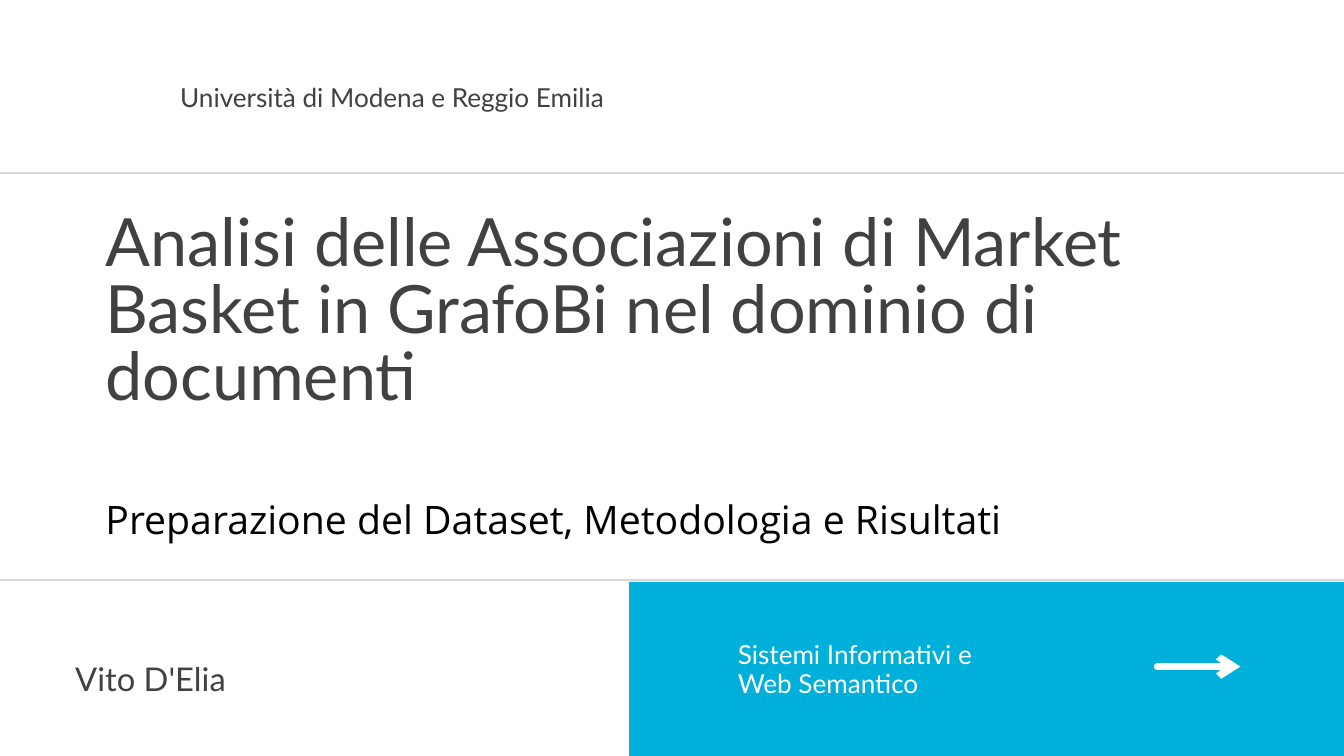
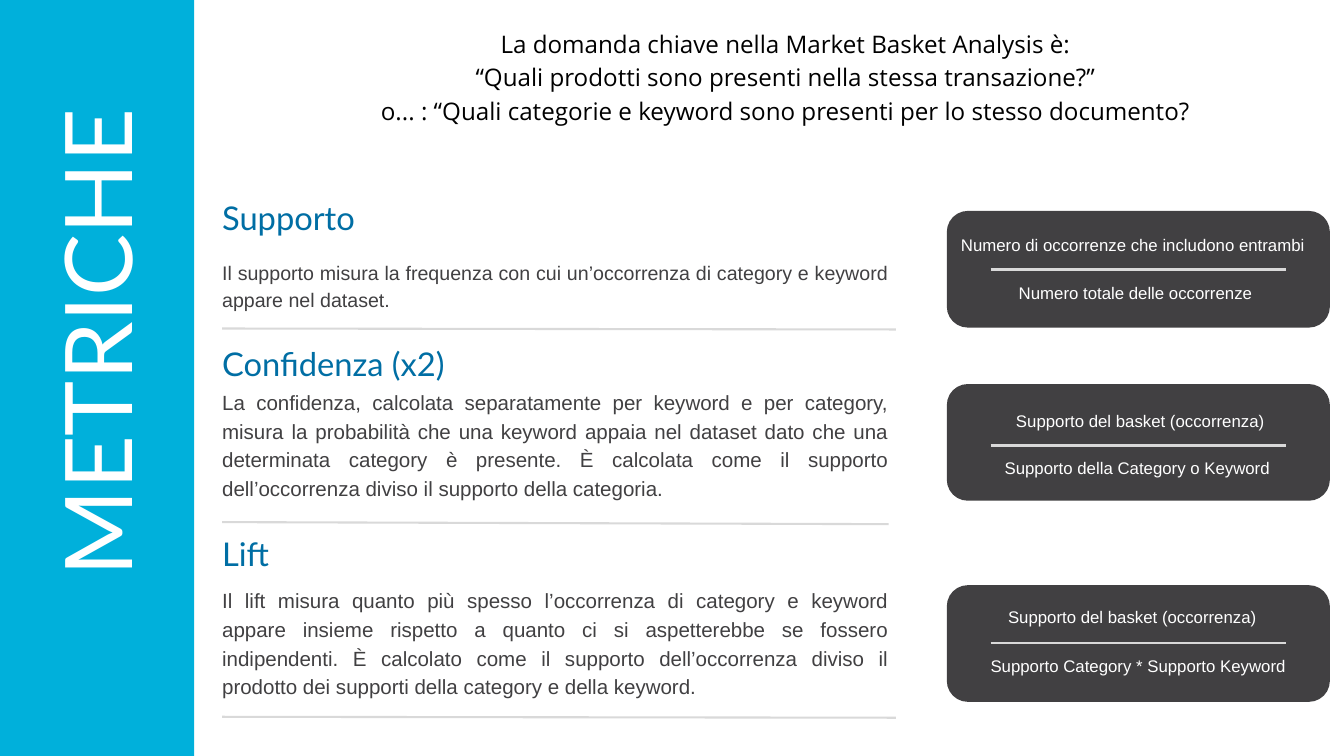
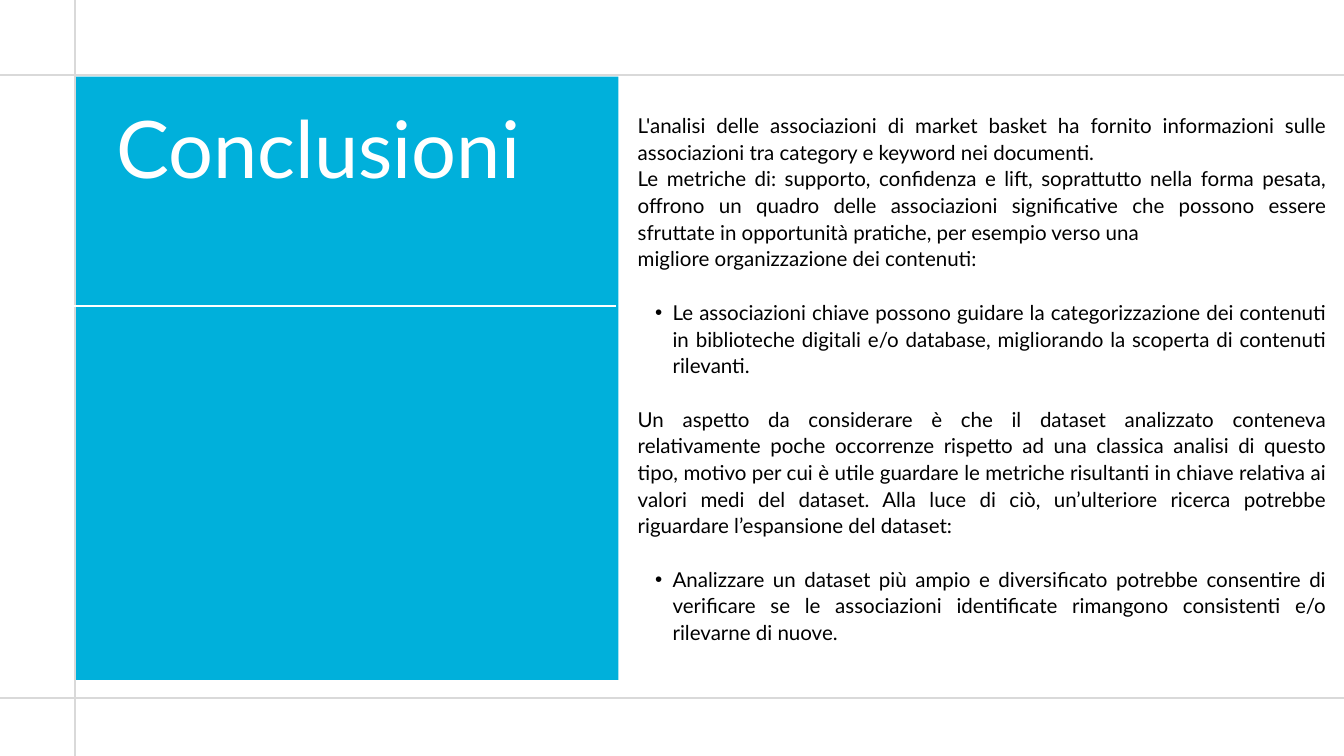
from lxml.etree import SubElement
from pptx import Presentation
from pptx.dml.color import RGBColor
from pptx.enum.shapes import MSO_CONNECTOR, MSO_SHAPE
from pptx.enum.text import MSO_AUTO_SIZE, PP_ALIGN
from pptx.oxml.ns import qn
from pptx.util import Pt

COLORS = {
    "cyan": "00B0DB",
    "blue": "006EA4",
    "charcoal": "414042",
    "grey": "D9D9D9",
    "white": "FFFFFF",
    "black": "000000",
}

LEFT, CENTER, JUSTIFY = PP_ALIGN.LEFT, PP_ALIGN.CENTER, PP_ALIGN.JUSTIFY

# style: font, size, line spacing, colour, alignment
STYLES = {
    "cover title": ("Lato", 71.3, 71.3, "charcoal", LEFT),
    "subtitle": ("Open Sans", 42, 58.8, "black", LEFT),
    "author": ("Lato", 35, 38.5, "charcoal", LEFT),
    "university": ("Lato", 28, 30.8, "charcoal", LEFT),
    "course": ("Lato", 28, 30.8, "white", LEFT),
    "side title": ("Lato", 100, 110, "white", CENTER),
    "question": ("Open Sans", 25.9, 36.2, "black", CENTER),
    "metric": ("Lato", 35, 45.5, "blue", LEFT),
    "short definition": ("Arial", 21, 29.4, "charcoal", JUSTIFY),
    "definition": ("Arial", 22, 30.8, "charcoal", JUSTIFY),
    "formula": ("Arial", 18, 25.2, "white", LEFT),
    "closing title": ("Lato", 85, 93.5, "white", LEFT),
    "closing text": ("Lato", 22, 28.6, "black", JUSTIFY),
}

WIDTH, HEIGHT = 1440, 810


def add_text(slide, style, box, *lines):
    """Add a text box at (left, top, width, height), one paragraph a line."""
    font_name, size, spacing, color, alignment = STYLES[style]
    text_box = slide.shapes.add_textbox(*map(Pt, box))
    frame = text_box.text_frame
    frame_format = {
        "word_wrap": True,
        "auto_size": MSO_AUTO_SIZE.SHAPE_TO_FIT_TEXT,
        "margin_left": 0, "margin_right": 0, "margin_top": 0, "margin_bottom": 0,
    }
    for name, value in frame_format.items():
        setattr(frame, name, value)
    for number, line in enumerate(lines):
        paragraph = frame.add_paragraph() if number else frame.paragraphs[0]
        run = paragraph.add_run()
        run.text = line
        run.font.color.rgb = RGBColor.from_string(COLORS[color])
        for name, value in {"name": font_name, "size": Pt(size)}.items():
            setattr(run.font, name, value)
        for name, value in {"line_spacing": Pt(spacing), "alignment": alignment}.items():
            setattr(paragraph, name, value)
    return text_box


def add_rule(slide, start, end, color="grey", weight=2.25):
    rule = slide.shapes.add_connector(MSO_CONNECTOR.STRAIGHT, *map(Pt, start + end))
    rule.line.color.rgb = RGBColor.from_string(COLORS[color])
    rule.line.width = Pt(weight)
    SubElement(rule._element.spPr, qn("a:effectLst"))
    return rule


prs = Presentation()
prs.slide_width, prs.slide_height = Pt(WIDTH), Pt(HEIGHT)
cover, metrics, closing = [prs.slides.add_slide(prs.slide_layouts[6]) for _ in range(3)]

# Coloured panels behind the text
CARD_LEFT, CARD_WIDTH, CARD_HEIGHT = 1014.5, 410.4, 125
CARD_TOPS = (226, 411.5, 627)
panels = [
    (cover, MSO_SHAPE.RECTANGLE, "cyan", (674, 623.5, 766, 186.5)),
    (metrics, MSO_SHAPE.RECTANGLE, "cyan", (0, 0, 208, HEIGHT)),
    (closing, MSO_SHAPE.RECTANGLE, "cyan", (80.6, 82, 582, 646.5)),
]
for top in CARD_TOPS:
    panels.append((metrics, MSO_SHAPE.ROUNDED_RECTANGLE, "charcoal",
                   (CARD_LEFT, top, CARD_WIDTH, CARD_HEIGHT)))
for slide, outline, color, box in panels:
    panel = slide.shapes.add_shape(outline, *map(Pt, box))
    panel.shadow.inherit = False
    panel.fill.solid()
    panel.fill.fore_color.rgb = RGBColor.from_string(COLORS[color])
    panel.line.fill.background()
    if outline == MSO_SHAPE.ROUNDED_RECTANGLE:
        panel.adjustments[0] = 0.18

# Full-width rules
for slide, y in ((cover, 185), (cover, 621.4), (closing, 80.6), (closing, 747.4)):
    add_rule(slide, (0, y), (WIDTH, y))

# Cover
add_text(cover, "university", (193, 90, 511, 31), "Università di Modena e Reggio Emilia")
add_text(cover, "cover title", (113, 229, 1127, 217),
         "Analisi delle Associazioni di Market Basket in GrafoBi nel dominio di documenti")
add_text(cover, "subtitle", (113, 522, 1055, 56),
         "Preparazione del Dataset, Metodologia e Risultati")
add_text(cover, "author", (80.6, 709.2, 300, 39.6), "Vito D'Elia")
add_text(cover, "course", (790.6, 686.9, 297, 62), "Sistemi Informativi e", "Web Semantico")
arrow = add_rule(cover, (1240, 714.2), (1329, 714.2), "white", 7.5)
arrow_line = arrow._element.spPr.find(qn("a:ln"))
arrow_line.set("cap", "rnd")
SubElement(arrow_line, qn("a:tailEnd"), type="arrow")

# Metrics
side_title = add_text(metrics, "side title", (-183.6, 311, 582.5, 112.3), "METRICHE")
side_title.rotation = 270
add_text(metrics, "question", (381.6, 26, 920, 106.6),
         "La domanda chiave nella Market Basket Analysis è:",
         "“Quali prodotti sono presenti nella stessa transazione?”",
         "o... : “Quali categorie e keyword sono presenti per lo stesso documento?")

METRIC_LEFT = 238
# metric, top, definition style, definition top, definition, rule end and heights
definitions = [
    ("Supporto", 208.8, "short definition", 275,
     "Il supporto misura la frequenza con cui un’occorrenza di category e keyword "
     "appare nel dataset.", 960, 352, 353),
    ("Confidenza (x2)", 365, "definition", 413.3,
     "La confidenza, calcolata separatamente per keyword e per category, misura la "
     "probabilità che una keyword appaia nel dataset dato che una determinata category "
     "è presente. È calcolata come il supporto dell’occorrenza diviso il supporto della "
     "categoria.", 952, 559.4, 561.6),
    ("Lift", 568, "definition", 625.7,
     "Il lift misura quanto più spesso l’occorrenza di category e keyword appare insieme "
     "rispetto a quanto ci si aspetterebbe se fossero indipendenti. È calcolato come il "
     "supporto dell’occorrenza diviso il prodotto dei supporti della category e della "
     "keyword.", 960, 768, 769),
]
for metric, top, style, text_top, definition, rule_end, start_y, end_y in definitions:
    add_text(metrics, "metric", (METRIC_LEFT, top, 482, 45), metric)
    add_text(metrics, style, (METRIC_LEFT, text_top, 713.5, 123), definition)
    add_rule(metrics, (METRIC_LEFT, start_y), (rule_end, end_y))

# fraction bar height, then left, top and wording of numerator and denominator
formulas = [
    (288.7, (1029.6, 247.7, "Numero di occorrenze che includono entrambi"),
     (1091.5, 298.8, "Numero totale delle occorrenze")),
    (477.4, (1088.6, 436.3, "Supporto del basket (occorrenza)"),
     (1076.4, 486.7, "Supporto della Category o Keyword")),
    (689, (1080, 646.6, "Supporto del basket (occorrenza)"),
     (1061.3, 699.1, "Supporto Category * Supporto Keyword")),
]
for bar_y, *terms in formulas:
    add_rule(metrics, (1061.3, bar_y), (1378, bar_y), weight=3)
    for left, top, term in terms:
        add_text(metrics, "formula", (left, top, CARD_LEFT + CARD_WIDTH - left, 25.2), term)

# Conclusions
add_rule(closing, (80, 0), (80, HEIGHT))
add_rule(closing, (78.5, 328.3), (660, 328.3), "white")
add_text(closing, "closing title", (124.6, 115.2, 490, 95), "Conclusioni")
conclusions = add_text(
    closing, "closing text", (683.3, 118.8, 737.3, 584.6),
    "L'analisi delle associazioni di market basket ha fornito informazioni sulle "
    "associazioni tra category e keyword nei documenti.",
    "Le metriche di: supporto, confidenza e lift, soprattutto nella forma pesata, offrono "
    "un quadro delle associazioni significative che possono essere sfruttate in "
    "opportunità pratiche, per esempio verso una",
    "migliore organizzazione dei contenuti:",
    "Le associazioni chiave possono guidare la categorizzazione dei contenuti in "
    "biblioteche digitali e/o database, migliorando la scoperta di contenuti rilevanti.",
    "Un aspetto da considerare è che il dataset analizzato conteneva relativamente poche "
    "occorrenze rispetto ad una classica analisi di questo tipo, motivo per cui è utile "
    "guardare le metriche risultanti in chiave relativa ai valori medi del dataset. Alla "
    "luce di ciò, un’ulteriore ricerca potrebbe riguardare l’espansione del dataset:",
    "Analizzare un dataset più ampio e diversificato potrebbe consentire di verificare se "
    "le associazioni identificate rimangono consistenti e/o rilevarne di nuove.",
)
paragraphs = conclusions.text_frame.paragraphs
for paragraph in paragraphs[3:]:
    paragraph.space_before = Pt(28.6)
for paragraph in paragraphs[3::2]:
    properties = paragraph._p.get_or_add_pPr()
    properties.set("marL", str(Pt(37.4)))
    properties.set("indent", str(Pt(-18.7)))
    SubElement(properties, qn("a:buFont"), typeface="Arial")
    SubElement(properties, qn("a:buChar"), char="•")

prs.save("out.pptx")
